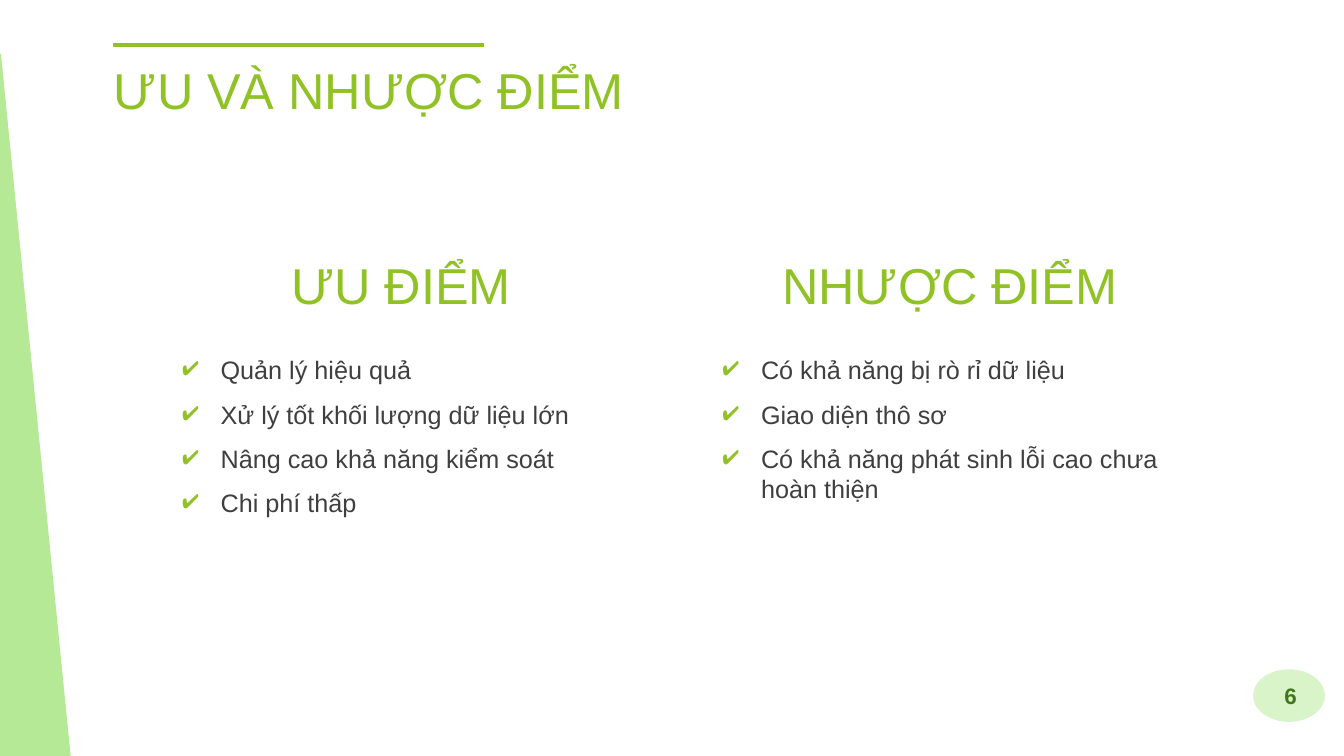
"""Build a slide that sets strengths beside weaknesses."""
from lxml.etree import SubElement
from pptx import Presentation
from pptx.dml.color import RGBColor
from pptx.enum.shapes import MSO_CONNECTOR, MSO_SHAPE
from pptx.enum.text import MSO_ANCHOR, MSO_AUTO_SIZE, PP_ALIGN
from pptx.oxml.ns import qn
from pptx.util import Inches, Pt

GREEN = RGBColor(0x90, 0xC2, 0x26)
PALE = RGBColor(0xD9, 0xF4, 0xC9)
LEAF = RGBColor(0xB6, 0xE9, 0x95)
DARK = RGBColor(0x3F, 0x78, 0x18)
GREY = RGBColor(0x3F, 0x3F, 0x3F)

TITLE = "ƯU VÀ NHƯỢC ĐIỂM"
NUMBER = "6"
LISTS = [
    {"head": "ƯU ĐIỂM", "head_x": 20.93, "head_w": 23.86, "left": 12.83,
     "items": ["Quản lý hiệu quả", "Xử lý tốt khối lượng dữ liệu lớn",
               "Nâng cao khả năng kiểm soát", "Chi phí thấp"]},
    {"head": "NHƯỢC ĐIỂM", "head_x": 57.46, "head_w": 27.98, "left": 53.04,
     "items": ["Có khả năng bị rò rỉ dữ liệu", "Giao diện thô sơ",
               "Có khả năng phát sinh lỗi cao chưa hoàn thiện"]},
]
SHAPES = [
    (MSO_SHAPE.OVAL, (93.32, 88.67, 5.18, 6.67), PALE),
    (MSO_SHAPE.RIGHT_TRIANGLE, (0, 7.2, 5.18, 92.8), LEAF),
]
RULE = (8.4, 6, 36.01, 6)
HEAD_Y, HEAD_H = 34.93, 8
LIST_Y, LIST_W, LIST_H = 45.6, 36.76, 28.4

BIG = {"name": "Arial", "size": Pt(36), "bold": False}
BODY = {"name": "Arial", "size": Pt(18), "bold": False}
SMALL = {"name": "Arial", "size": Pt(16), "bold": True}

deck = Presentation()
deck.slide_width, deck.slide_height = Inches(13.33), Inches(7.5)
slide = deck.slides.add_slide(deck.slide_layouts[5])
shapes = slide.shapes


def place(area):
    """Turn percentages of the slide into lengths."""
    sides = (deck.slide_width, deck.slide_height) * 2
    return [int(side * part / 100) for side, part in zip(sides, area)]


def write(box, lines, font, color, anchor=MSO_ANCHOR.TOP,
          align=PP_ALIGN.LEFT, pad=0.1):
    """Fill a text shape and return its paragraphs."""
    frame = box.text_frame
    frame.text = "\n".join(lines)
    look = {"word_wrap": True, "auto_size": MSO_AUTO_SIZE.NONE,
            "vertical_anchor": anchor,
            "margin_left": Inches(0.1), "margin_right": Inches(0.1),
            "margin_top": Inches(pad), "margin_bottom": Inches(pad)}
    for key, value in look.items():
        setattr(frame, key, value)
    for para in frame.paragraphs:
        para.alignment = align
        for run in para.runs:
            for key, value in font.items():
                setattr(run.font, key, value)
            run.font.color.rgb = color
    return frame.paragraphs


def tick(para):
    """Give a paragraph a green check mark and a hanging indent."""
    para.space_before = Pt(10)
    props = para._p.get_or_add_pPr()
    props.set("marL", str(Inches(0.38)))
    props.set("indent", str(-Inches(0.38)))
    tint = SubElement(props, qn("a:buClr"))
    SubElement(tint, qn("a:srgbClr"), val=str(GREEN))
    SubElement(props, qn("a:buChar"), char="✔")


for kind, area, color in SHAPES:
    shape = shapes.add_shape(kind, *place(area))
    shape.shadow.inherit = False
    shape.fill.solid()
    shape.fill.fore_color.rgb = color
    shape.line.color.rgb = color
    shape.line.width = Pt(1.5)

page = shapes.add_textbox(*place((90.92, 88.67, 6.3, 6.67)))
write(page, [NUMBER], SMALL, DARK, MSO_ANCHOR.MIDDLE, PP_ALIGN.RIGHT, 0.05)

title = shapes.title
title.left, title.top, title.width, title.height = place(
    (7.73, 6.53, 43.21, 13.73))
write(title, [TITLE], BIG, GREEN)

rule = shapes.add_connector(MSO_CONNECTOR.STRAIGHT, *place(RULE))
rule.line.color.rgb = GREEN
rule.line.width = Pt(3)
SubElement(rule._element.spPr, qn("a:effectLst"))

for part in LISTS:
    body = shapes.add_textbox(*place((part["left"], LIST_Y, LIST_W, LIST_H)))
    for para in write(body, part["items"], BODY, GREY):
        tick(para)
    head = shapes.add_textbox(
        *place((part["head_x"], HEAD_Y, part["head_w"], HEAD_H)))
    write(head, [part["head"]], BIG, GREEN, MSO_ANCHOR.BOTTOM)

deck.save("out.pptx")
